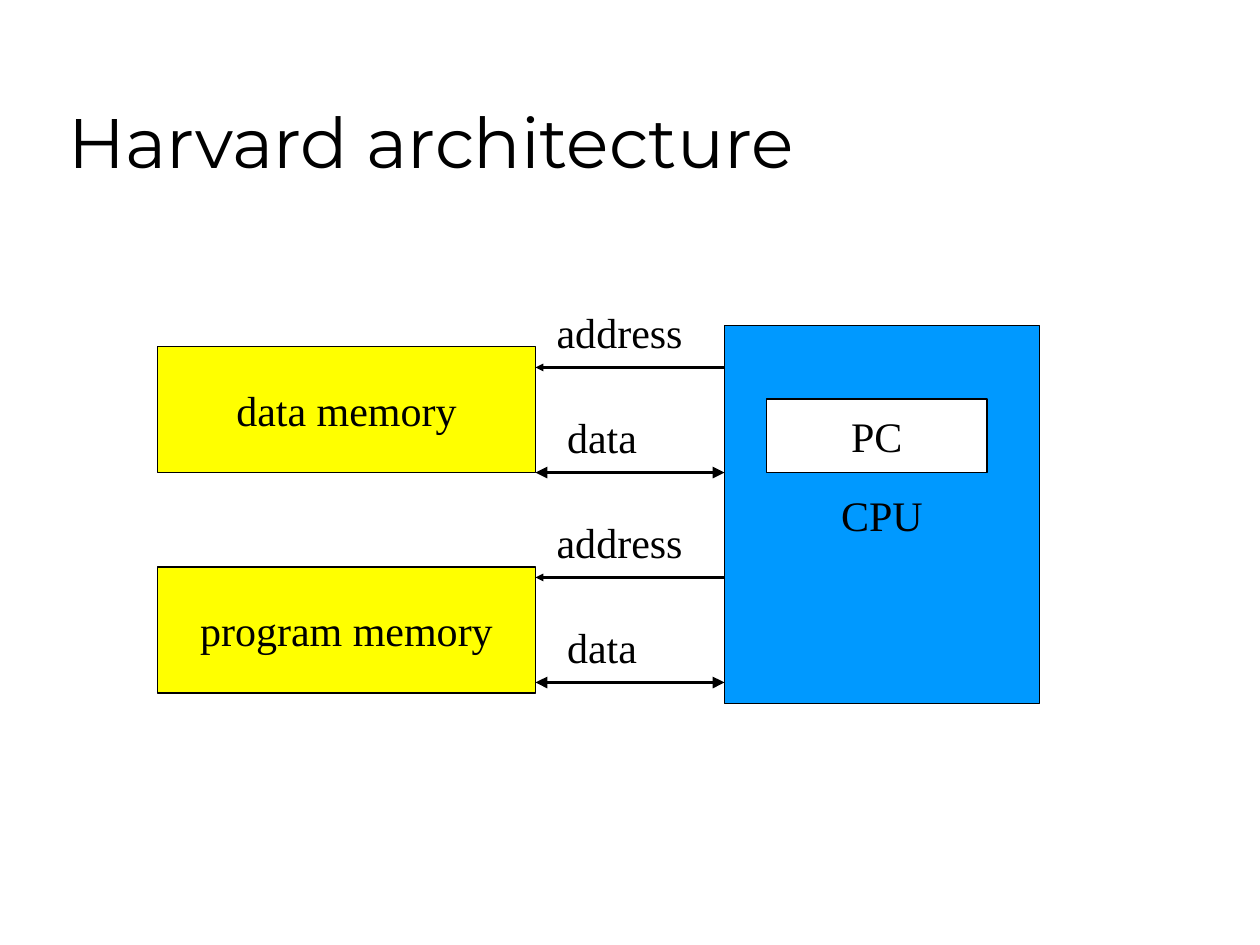
from lxml import etree
from pptx import Presentation
from pptx.dml.color import RGBColor
from pptx.enum.shapes import MSO_CONNECTOR, MSO_SHAPE
from pptx.enum.text import MSO_ANCHOR as ANCHOR, MSO_AUTO_SIZE as AUTO, PP_ALIGN as ALIGN
from pptx.oxml.ns import qn
from pptx.util import Pt

BLACK, WHITE, YELLOW, BLUE = "000000", "FFFFFF", "FFFF00", "0099FF"
BUS_GAP = 60


def rgb(value):
    return RGBColor.from_string(value)


def write(sp, text, font="Times New Roman", size=24, color=BLACK,
          align=ALIGN.LEFT, anchor=ANCHOR.TOP, wrap=False, fit=AUTO.NONE):
    tf = sp.text_frame
    tf.word_wrap, tf.auto_size, tf.vertical_anchor = wrap, fit, anchor
    p = tf.paragraphs[0]
    p.alignment = align
    r = p.add_run()
    r.text = text
    r.font.name, r.font.size = font, Pt(size)
    r.font.color.rgb = rgb(color)


def add_title(slide, text, x, y, w, h):
    sp = slide.shapes.title
    sp.left, sp.top, sp.width, sp.height = Pt(x), Pt(y), Pt(w), Pt(h)
    write(sp, text, font="Montserrat", size=40, anchor=ANCHOR.BOTTOM, wrap=True)


def add_block(slide, text, fill, x, y, w, h):
    sp = slide.shapes.add_shape(MSO_SHAPE.RECTANGLE, Pt(x), Pt(y), Pt(w), Pt(h))
    sp.shadow.inherit = False
    sp.fill.solid()
    sp.fill.fore_color.rgb = rgb(fill)
    sp.line.color.rgb = rgb(BLACK)
    sp.line.width = Pt(1)
    write(sp, text, align=ALIGN.CENTER, anchor=ANCHOR.MIDDLE)


def add_arrow(slide, x1, x2, y, ends, size):
    """Draw a level line; ends lists headEnd (start) and tailEnd (finish)."""
    line = slide.shapes.add_connector(MSO_CONNECTOR.STRAIGHT, Pt(x1), Pt(y), Pt(x2), Pt(y))
    line.line.color.rgb = rgb(BLACK)
    line.line.width = Pt(2.25)
    ln = line.line._get_or_add_ln()
    for end in ends:
        etree.SubElement(ln, qn(f"a:{end}"), type="triangle", w=size, len=size)
    etree.SubElement(line._element.spPr, qn("a:effectLst"))


def add_label(slide, text, x, y, w, h=36):
    sp = slide.shapes.add_textbox(Pt(x), Pt(y), Pt(w), Pt(h))
    write(sp, text, fit=AUTO.SHAPE_TO_FIT_TEXT)


def add_bus(slide, x, y, w):
    """Address line from the CPU, and below it a two-way data line."""
    add_arrow(slide, x + w, x, y, ["tailEnd"], "sm")
    add_arrow(slide, x, x + w, y + BUS_GAP, ["headEnd", "tailEnd"], "med")
    add_label(slide, "address", x + 5, y - 38.5, 87)
    add_label(slide, "data", x + 11, y + BUS_GAP - 38.5, 55)


def add_cpu(slide, x, y, w, h):
    add_block(slide, "CPU", BLUE, x, y, w, h)
    add_block(slide, "PC", WHITE, x + 24, y + 42, 126, 42)


def main():
    prs = Presentation()
    prs.slide_width, prs.slide_height = Pt(720), Pt(540)
    slide = prs.slides.add_slide(prs.slide_layouts[5])
    add_title(slide, "Harvard architecture", 32, 18, 612, 90)
    add_cpu(slide, 414, 186, 180, 216)
    memories = [("data memory", 198), ("program memory", 324)]
    for i, (name, y) in enumerate(memories):
        add_block(slide, name, YELLOW, 90, y, 216, 72)
        add_bus(slide, 306, 210 + i * 2 * BUS_GAP, 108)
    prs.save("out.pptx")


if __name__ == "__main__":
    main()
